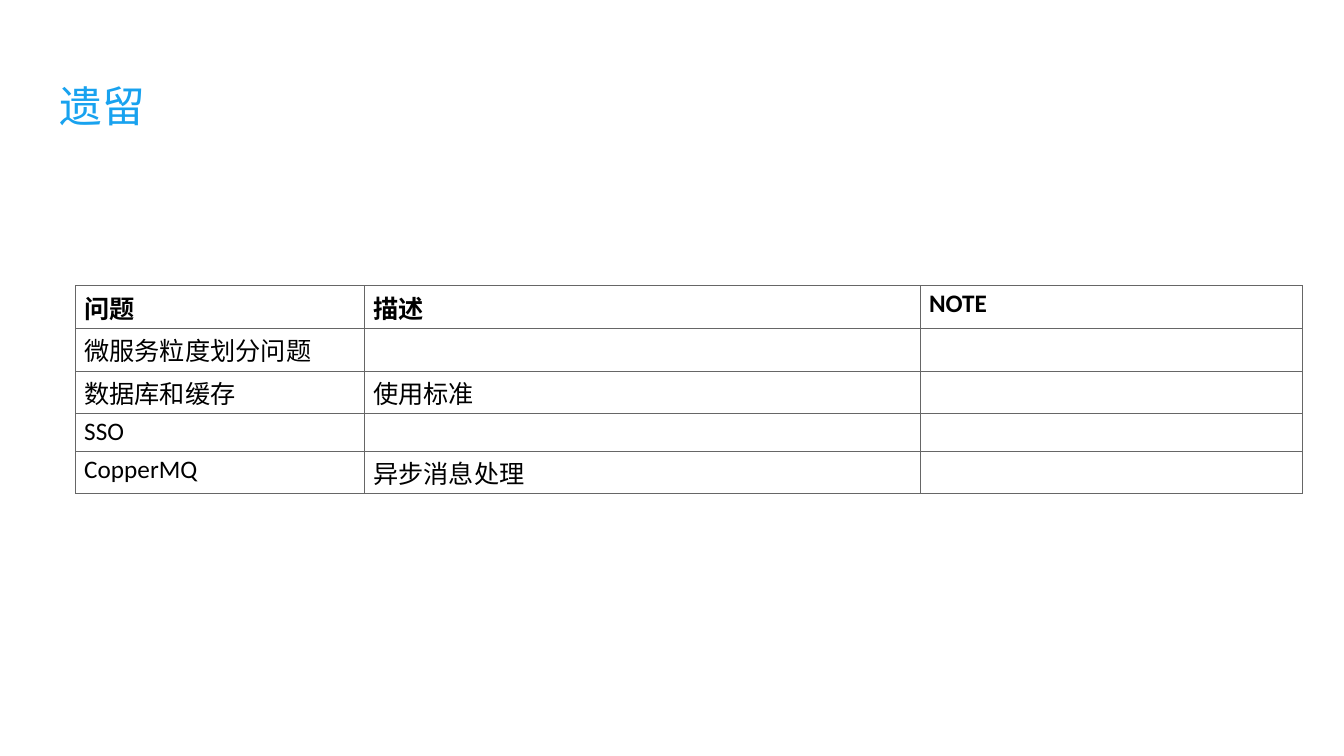
from lxml.etree import SubElement
from pptx import Presentation
from pptx.dml.color import RGBColor
from pptx.enum.text import MSO_ANCHOR
from pptx.oxml.ns import qn
from pptx.util import Inches, Pt

TITLE = "遗留"
ISSUES = [
    ("问题", "描述", "NOTE"),
    ("微服务粒度划分问题", "", ""),
    ("数据库和缓存", "使用标准", ""),
    ("SSO", "", ""),
    ("CopperMQ", "异步消息处理", ""),
]
TITLE_BOX = (0.47, 0.71, 10.87, 0.56)
TABLE_ORIGIN = (0.71, 2.68)
COLUMN_WIDTHS = (2.71, 5.21, 3.58)
ROW_HEIGHTS = (0.4, 0.4, 0.4, 0.35, 0.4)

THEME = {
    "title": {"name": "Noto Sans CJK SC", "size": 28.8, "color": "18A2EF"},
    "body": {"name": "Calibri", "size": 17, "color": "000000"},
    "east_asian": "Noto Sans CJK SC",
    "border": {"color": "666666", "width": 0.75},
}
TITLE_FRAME = {
    "margin_left": Inches(0.09),
    "margin_right": Inches(0.09),
    "margin_top": 0,
    "margin_bottom": 0,
    "vertical_anchor": MSO_ANCHOR.MIDDLE,
    "word_wrap": True,
}
CELL_FRAME = {
    "margin_left": Inches(0.08),
    "margin_right": Inches(0.08),
    "margin_top": Inches(0.03),
    "margin_bottom": Inches(0.03),
    "vertical_anchor": MSO_ANCHOR.TOP,
}


def apply_format(target, values):
    for key, value in values.items():
        setattr(target, key, value)


def write(paragraph, wording, style, bold=False):
    if not wording:
        SubElement(paragraph._p, qn("a:endParaRPr"), sz=str(int(style["size"] * 100)))
        return
    run = paragraph.add_run()
    run.text = wording
    apply_format(run.font, {"name": style["name"], "size": Pt(style["size"]), "bold": bold})
    run.font.color.rgb = RGBColor.from_string(style["color"])
    SubElement(run.font._element, qn("a:ea"), typeface=THEME["east_asian"])


def draw_borders(cell):
    properties = cell._tc.get_or_add_tcPr()
    border = THEME["border"]
    for position, side in enumerate(("lnL", "lnR", "lnT", "lnB")):
        line = SubElement(properties, qn(f"a:{side}"), w=str(Pt(border["width"])))
        fill = SubElement(line, qn("a:solidFill"))
        SubElement(fill, qn("a:srgbClr"), val=border["color"])
        properties.insert(position, line)


def add_title(slide):
    frame = slide.shapes.add_textbox(*map(Inches, TITLE_BOX)).text_frame
    apply_format(frame, TITLE_FRAME)
    write(frame.paragraphs[0], TITLE, THEME["title"])


def add_issues(slide):
    extent = (sum(COLUMN_WIDTHS), sum(ROW_HEIGHTS))
    issues = slide.shapes.add_table(
        len(ISSUES), len(COLUMN_WIDTHS), *map(Inches, TABLE_ORIGIN + extent)
    ).table
    issues.horz_banding = False
    for column, width in zip(issues.columns, COLUMN_WIDTHS):
        column.width = Inches(width)
    for index, (row, height, entries) in enumerate(zip(issues.rows, ROW_HEIGHTS, ISSUES)):
        row.height = Inches(height)
        for cell, wording in zip(row.cells, entries):
            apply_format(cell, CELL_FRAME)
            cell.fill.background()
            draw_borders(cell)
            write(cell.text_frame.paragraphs[0], wording, THEME["body"], bold=index == 0)


def main():
    deck = Presentation()
    deck.slide_width, deck.slide_height = Inches(12.6), Inches(7.09)
    slide = deck.slides.add_slide(deck.slide_layouts[6])
    add_title(slide)
    add_issues(slide)
    deck.save("out.pptx")


if __name__ == "__main__":
    main()
